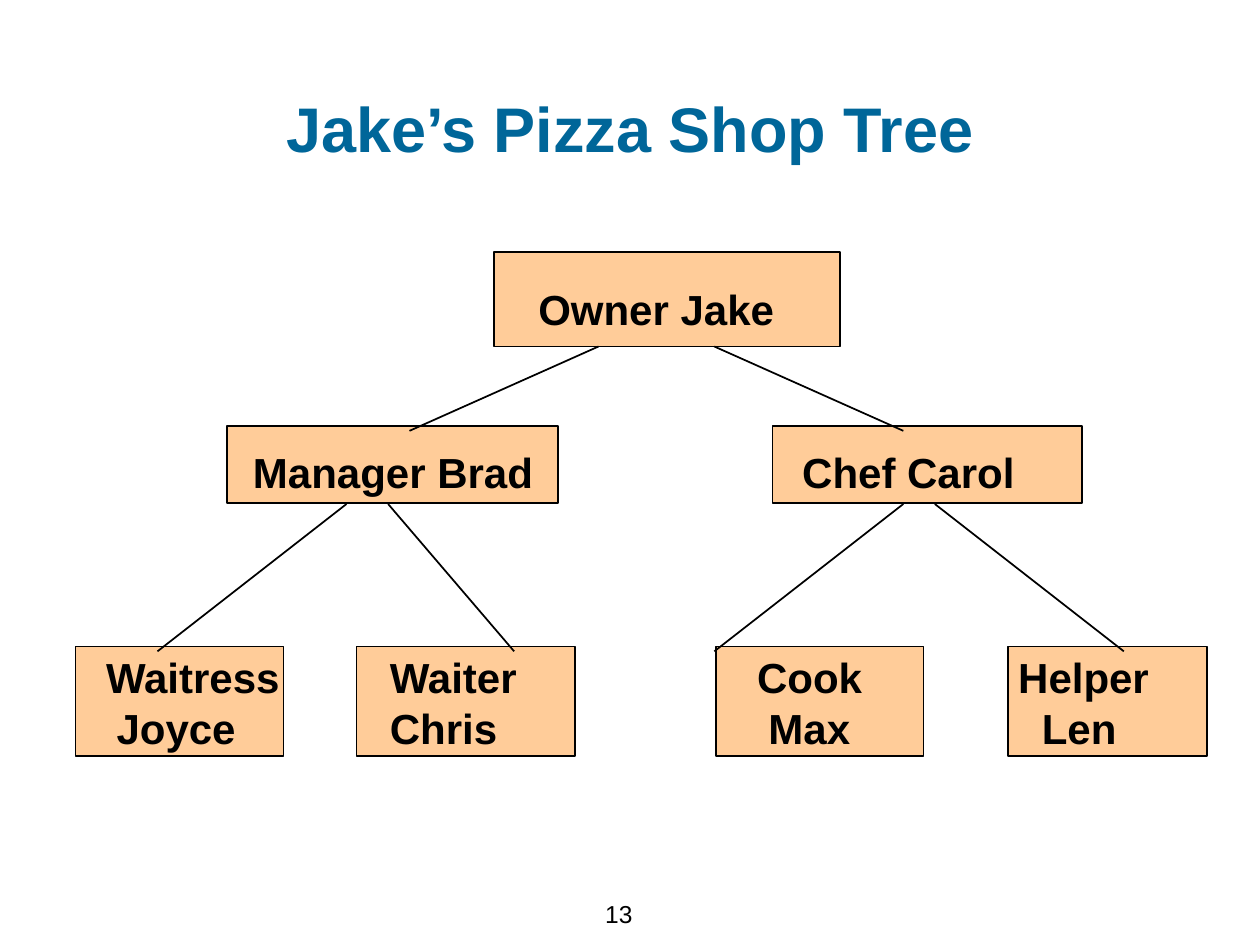
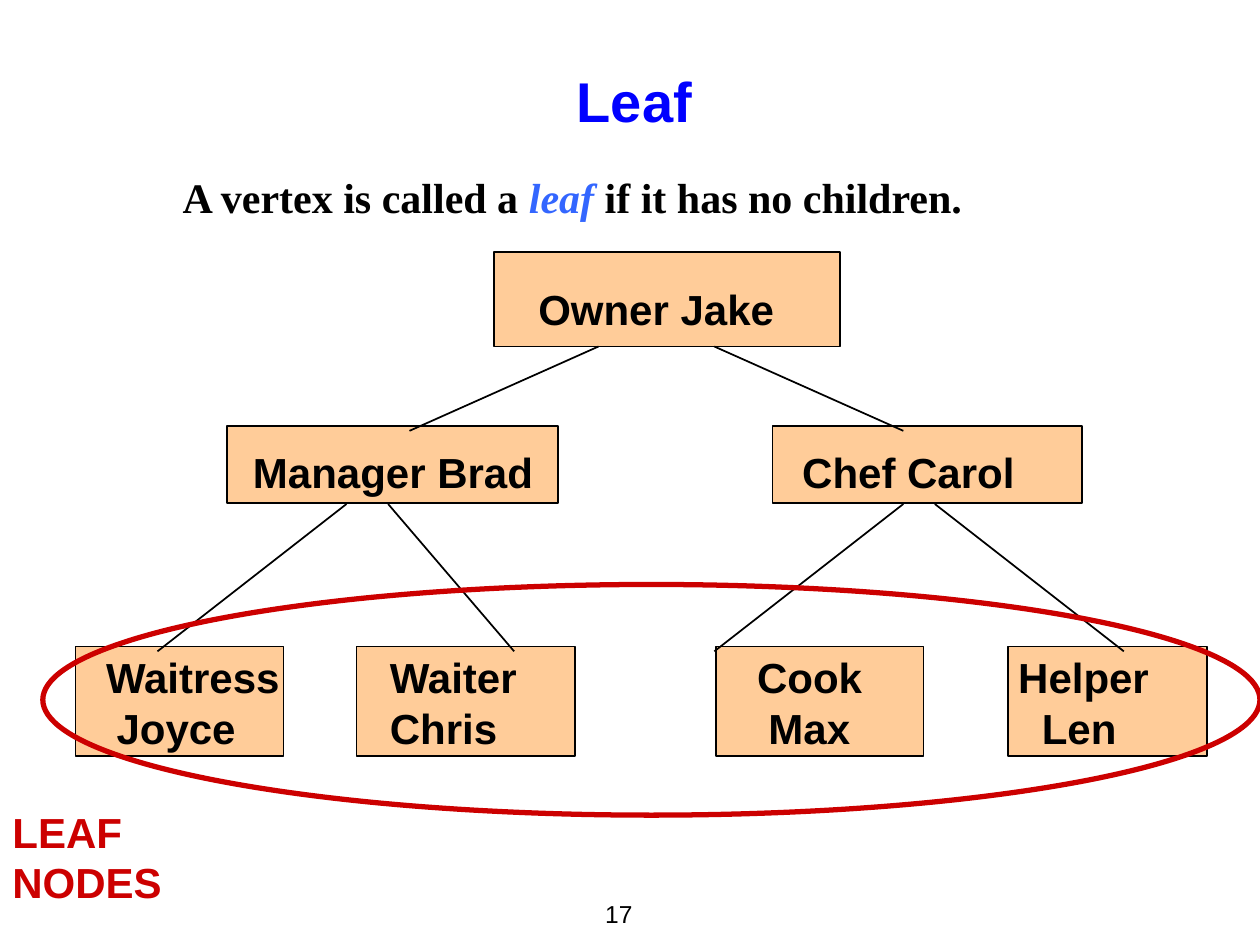
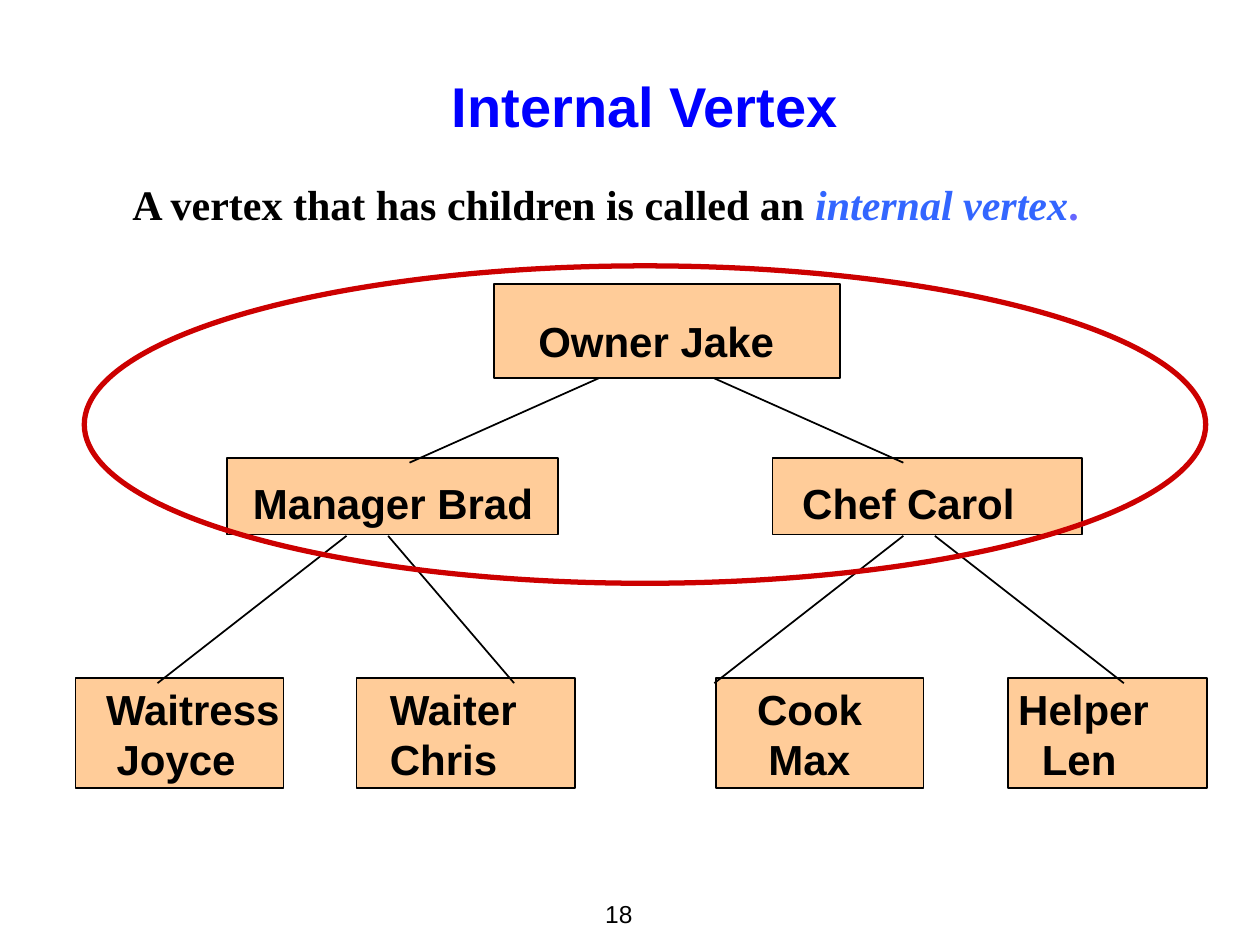
"""Build three slides about the vertices of a tree."""
from lxml.etree import SubElement
from pptx import Presentation
from pptx.dml.color import RGBColor
from pptx.enum.shapes import MSO_CONNECTOR, MSO_SHAPE
from pptx.enum.text import MSO_ANCHOR, MSO_AUTO_SIZE, PP_ALIGN
from pptx.oxml.ns import qn
from pptx.util import Pt

BLACK, PEACH, RED = "000000", "FFCC99", "CC0000"
TEAL, BLUE, LIGHT_BLUE, VIOLET = "006699", "0000FF", "3366FF", "6666FF"
SANS, SERIF = "Arial", "Times New Roman"

TREE_LEFT = 43.2
OWNER_TOP, MIDDLE_TOP, LEAF_TOP = 0, 99.4, 225.4
OWNER_HEIGHT, MIDDLE_HEIGHT, LEAF_HEIGHT = 54, 43.9, 62.6
# Each node: left, top, width, height, text margins (left, top), lines with their indents
NODES = [
    (0, LEAF_TOP, 118.8, LEAF_HEIGHT, (17.4, 3), [("Waitress", 0), ("Joyce", 6)]),
    (160.6, LEAF_TOP, 124.6, LEAF_HEIGHT, (19, 3), [("Waiter", 0), ("Chris", 0)]),
    (365.8, LEAF_TOP, 118.8, LEAF_HEIGHT, (23.6, 3), [("Cook", 0), ("Max", 6.5)]),
    (532.8, LEAF_TOP, 113.8, LEAF_HEIGHT, (5.8, 3), [("Helper", 0), ("Len", 13.5)]),
    (239, OWNER_TOP, 198, OWNER_HEIGHT, (25.4, 18), [("Owner Jake", 0)]),
    (86.4, MIDDLE_TOP, 189.4, MIDDLE_HEIGHT, (15, 11.5), [("Manager Brad", 0)]),
    (398.2, MIDDLE_TOP, 177.1, MIDDLE_HEIGHT, (17, 11.5), [("Chef Carol", 0)]),
]
OWNER_BRANCHES = [(298.8, 190.8), (365, 473)]
MIDDLE_BRANCHES = [(154.8, 46.8), (473, 365), (178.6, 250.6), (491, 599)]


def color(value):
    """Return the colour for a hex string."""
    return RGBColor.from_string(value)


def points(*lengths):
    """Return the lengths in points."""
    return [Pt(length) for length in lengths]


def write(paragraph, text, font=SANS, size=24, fill=BLACK, bold=True, italic=False):
    """Add a formatted run to a paragraph."""
    run = paragraph.add_run()
    run.text = text
    run.font.name, run.font.size = font, Pt(size)
    run.font.bold, run.font.italic = bold, italic
    run.font.color.rgb = color(fill)


def set_frame(shape, left=7.2, top=3.6, anchor=MSO_ANCHOR.TOP, wrap=True):
    """Set the margins, anchor and wrapping of a shape's text and return its frame."""
    frame = shape.text_frame
    frame.auto_size = MSO_AUTO_SIZE.NONE
    frame.word_wrap, frame.vertical_anchor = wrap, anchor
    frame.margin_left, frame.margin_top = Pt(left), Pt(top)
    frame.margin_right, frame.margin_bottom = Pt(7.2), Pt(3.6)
    return frame


def add_title(slide, text, box, size=32, fill=BLUE, top=7, anchor=MSO_ANCHOR.TOP):
    """Place and format the title placeholder."""
    title = slide.shapes.title
    title.left, title.top, title.width, title.height = points(*box)
    paragraph = set_frame(title, top=top, anchor=anchor).paragraphs[0]
    paragraph.alignment = PP_ALIGN.CENTER
    write(paragraph, text, size=size, fill=fill)


def add_page_number(slide, number):
    """Add the page number at the foot of the slide."""
    box = slide.shapes.add_textbox(*points(320.4, 504, 48.2, 36))
    paragraph = set_frame(box, anchor=MSO_ANCHOR.MIDDLE).paragraphs[0]
    paragraph.alignment = PP_ALIGN.RIGHT
    write(paragraph, str(number), size=14, bold=False)


def add_definition(slide, box, pieces, left=7.2):
    """Add a definition made of differently formatted pieces."""
    textbox = slide.shapes.add_textbox(*points(*box))
    paragraph = set_frame(textbox, left=left, top=6).paragraphs[0]
    for text, style in pieces:
        write(paragraph, text, font=SERIF, **style)


def add_node(slide, left, top, width, height, margins, lines):
    """Add one box of the tree with its text."""
    node = slide.shapes.add_shape(MSO_SHAPE.RECTANGLE, *points(left, top, width, height))
    node.shadow.inherit = False
    node.fill.solid()
    node.fill.fore_color.rgb = color(PEACH)
    node.line.color.rgb, node.line.width = color(BLACK), Pt(1)
    frame = set_frame(node, *margins, wrap=False)
    for index, (text, indent) in enumerate(lines):
        paragraph = frame.add_paragraph() if index else frame.paragraphs[0]
        paragraph.alignment = PP_ALIGN.LEFT
        if indent:
            paragraph._p.get_or_add_pPr().set("marL", str(Pt(indent)))
        write(paragraph, text)


def add_branch(slide, start_x, start_y, end_x, end_y):
    """Add a line between two levels of the tree."""
    branch = slide.shapes.add_connector(
        MSO_CONNECTOR.STRAIGHT, *points(start_x, start_y, end_x, end_y))
    branch.line.color.rgb, branch.line.width = color(BLACK), Pt(1)
    SubElement(branch._element.spPr, qn("a:effectLst"))


def add_tree(slide, top, left=TREE_LEFT):
    """Add the staff tree with its upper left corner at the given place."""
    for node_left, node_top, *rest in NODES:
        add_node(slide, left + node_left, top + node_top, *rest)
    levels = [(OWNER_BRANCHES, 54, 102.2), (MIDDLE_BRANCHES, 144, 228.2)]
    for branches, start_y, end_y in levels:
        for start_x, end_x in branches:
            add_branch(slide, left + start_x, top + start_y, left + end_x, top + end_y)


def add_ring(slide, box):
    """Add a red ellipse around part of the tree."""
    ring = slide.shapes.add_shape(MSO_SHAPE.OVAL, *points(*box))
    ring.shadow.inherit = False
    ring.fill.background()
    ring.line.color.rgb, ring.line.width = color(RED), Pt(3)


def add_leaf_label(slide, box):
    """Add the two-line label of the leaf nodes."""
    label = slide.shapes.add_textbox(*points(*box))
    frame = set_frame(label, top=5)
    write(frame.paragraphs[0], "LEAF", fill=RED)
    write(frame.add_paragraph(), "NODES", fill=RED)


def add_slide(presentation, number, tree_top):
    """Add a title-only slide with the page number and the tree."""
    slide = presentation.slides.add_slide(presentation.slide_layouts[5])
    add_page_number(slide, number)
    add_tree(slide, tree_top)
    return slide


def build_shop_slide(presentation):
    """Build the slide with the plain tree."""
    slide = add_slide(presentation, 13, 144)
    add_title(slide, "Jake’s Pizza Shop Tree", (108, 43.9, 504, 50.4), size=36, fill=TEAL)


def build_leaf_slide(presentation):
    """Build the slide about leaves."""
    slide = add_slide(presentation, 17, 144)
    add_leaf_label(slide, (0, 455.8, 169.2, 66))
    add_ring(slide, (24.5, 334, 695.5, 131.8))
    add_title(slide, "Leaf", (30.2, 25.9, 664.6, 54), top=3.6, anchor=MSO_ANCHOR.BOTTOM)
    add_definition(slide, (97.2, 92.2, 563, 41.8), [
        ("A vertex is called a ", {}),
        ("leaf", {"fill": LIGHT_BLUE, "italic": True}),
        (" if it has no children.", {}),
    ])


def build_internal_slide(presentation):
    """Build the slide about internal vertices."""
    slide = add_slide(presentation, 18, 162.2)
    add_title(slide, "Internal Vertex", (44.6, 33.8, 648, 55.4))
    add_definition(slide, (50.4, 95.8, 648, 70.6), [
        ("A vertex that has children is called an ", {}),
        ("internal vertex", {"fill": LIGHT_BLUE, "italic": True}),
        (".", {"fill": VIOLET}),
    ], left=25.2)
    add_ring(slide, (48.2, 151.9, 640.8, 181.4))


def main():
    """Build the presentation and save it."""
    presentation = Presentation()
    presentation.slide_width, presentation.slide_height = points(720, 540)
    build_shop_slide(presentation)
    build_leaf_slide(presentation)
    build_internal_slide(presentation)
    presentation.save("out.pptx")


if __name__ == "__main__":
    main()
